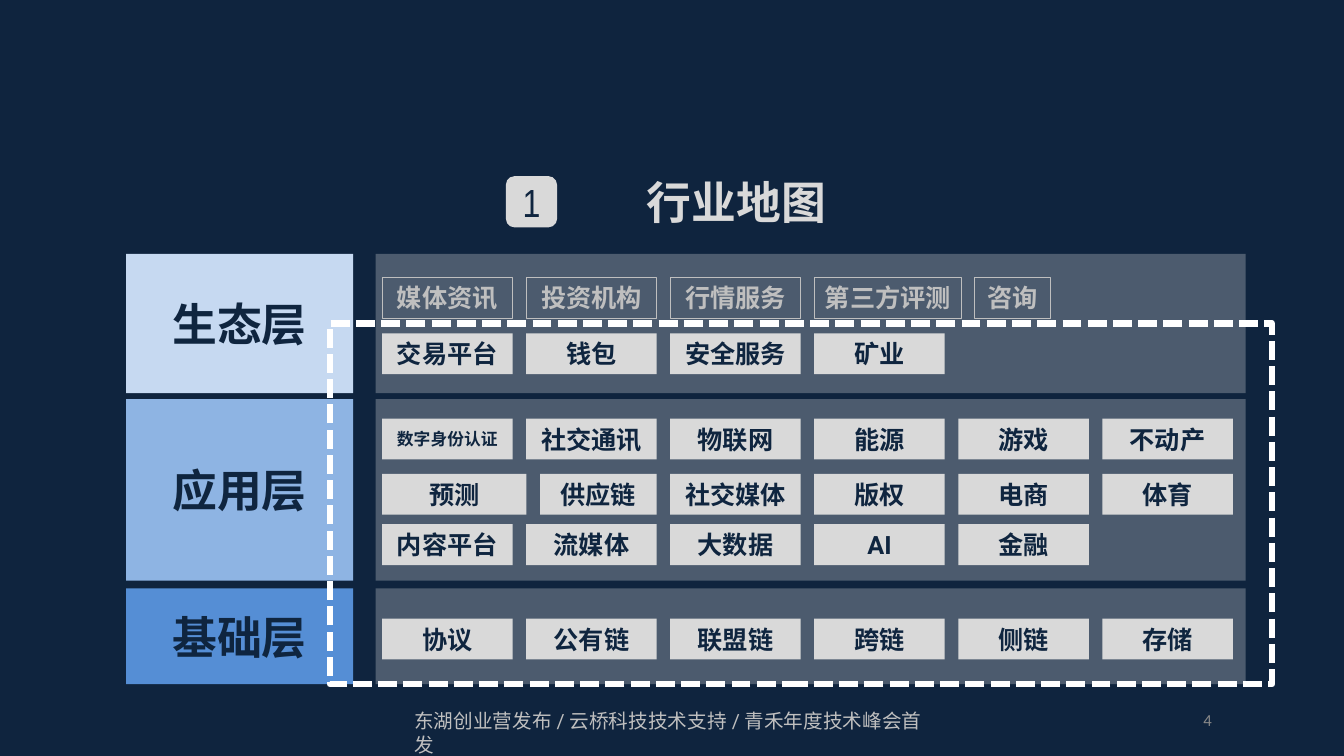
from dataclasses import dataclass

from lxml import etree
from pptx import Presentation
from pptx.dml.color import RGBColor
from pptx.enum.dml import MSO_LINE
from pptx.enum.shapes import MSO_SHAPE
from pptx.enum.text import MSO_ANCHOR, MSO_AUTO_SIZE, PP_ALIGN
from pptx.oxml.ns import qn
from pptx.util import Cm, Pt


@dataclass(frozen=True)
class Theme:
    background: str = "0F243E"
    ink: str = "0F253F"
    light: str = "D9D9D9"
    muted: str = "BFBFBF"
    page: str = "888888"
    panel: str = "F2F2F2"
    frame: str = "FFFFFF"
    font: str = "Roboto"
    badge_font: str = "Arial Narrow"
    page_font: str = "Calibri"
    heading_size: int = 32
    badge_size: int = 28
    chip_size: int = 18
    footer_size: int = 14
    small_size: int = 12


THEME = Theme()
CHIP_LEFT, CHIP_WIDTH, CHIP_HEIGHT, CHIP_GAP = 9.63, 3.29, 1.03, 0.34

LAYERS = [
    ("生态层", "C6D9F1", 6.4, 3.51),
    ("应用层", "8EB4E3", 10.06, 4.57),
    ("基础层", "558ED5", 14.83, 2.41),
]
OUTLINED_ROW = (6.99, "媒体资讯 投资机构 行情服务 第三方评测 咨询")
FILLED_ROWS = [
    (8.4, "交易平台 钱包 安全服务 矿业"),
    (10.55, "数字身份认证 社交通讯 物联网 能源 游戏 不动产"),
    (11.94, "预测 供应链 社交媒体 版权 电商 体育"),
    (13.21, "内容平台 流媒体 大数据 AI 金融"),
    (15.59, "协议 公有链 联盟链 跨链 侧链 存储"),
]
SPECIAL_WIDTHS = {"第三方评测": 3.71, "咨询": 1.91, "预测": 3.64, "供应链": 2.94}
SPECIAL_SIZES = {"数字身份认证": THEME.small_size}


def rgb(value):
    return RGBColor.from_string(value)


def place(shape, left, top, width, height):
    shape.left, shape.top = Cm(left), Cm(top)
    shape.width, shape.height = Cm(width), Cm(height)


def write(shape, text, size, color, font=THEME.font, bold=False,
          align=PP_ALIGN.LEFT, anchor=MSO_ANCHOR.TOP, wrap=True, side_inset=0.25):
    frame = shape.text_frame
    frame.auto_size = MSO_AUTO_SIZE.NONE
    frame.word_wrap = wrap
    frame.vertical_anchor = anchor
    frame.margin_left = frame.margin_right = Cm(side_inset)
    paragraph = frame.paragraphs[0]
    paragraph.alignment = align
    run = paragraph.add_run()
    run.text = text
    run.font.size, run.font.bold = Pt(size), bold
    run.font.color.rgb = rgb(color)
    run.font.name = font
    east_asian = etree.SubElement(run.font._element, qn("a:ea"))
    east_asian.set("typeface", font)
    return paragraph


def add_box(slide, left, top, width, height, fill=None, line=None,
            line_width=0.75, kind=MSO_SHAPE.RECTANGLE):
    box = slide.shapes.add_shape(kind, Cm(left), Cm(top), Cm(width), Cm(height))
    box.shadow.inherit = False
    if fill:
        box.fill.solid()
        box.fill.fore_color.rgb = rgb(fill)
    else:
        box.fill.background()
    if line:
        box.line.color.rgb = rgb(line)
        box.line.width = Pt(line_width)
    else:
        box.line.fill.background()
    return box


def write_centred(box, text, size, color, font=THEME.font, bold=True):
    write(box, text, size, color, font, bold, PP_ALIGN.CENTER,
          MSO_ANCHOR.MIDDLE, side_inset=0)


def set_opacity(shape, percent):
    color = shape.fill._xPr.find(qn("a:solidFill"))[0]
    etree.SubElement(color, qn("a:alpha")).set("val", str(percent * 1000))


def add_heading(slide):
    badge = add_box(slide, 12.75, 4.44, 1.29, 1.29, fill=THEME.light,
                    kind=MSO_SHAPE.ROUNDED_RECTANGLE)
    write_centred(badge, "1", THEME.badge_size, THEME.ink, THEME.badge_font, False)
    title = slide.shapes.title
    place(title, 16.05, 4.27, 5.08, 1.62)
    write(title, "行业地图", THEME.heading_size, THEME.light, bold=True, wrap=False)


def add_layer(slide, name, color, top, height):
    label = add_box(slide, 3.18, top, 5.72, height, fill=color)
    write_centred(label, name, THEME.heading_size, THEME.ink)
    panel = add_box(slide, 9.47, top, 21.92, height, fill=THEME.panel)
    set_opacity(panel, 27)


def add_chip_row(slide, top, names, color, fill=None, line=None):
    left = CHIP_LEFT
    for name in names.split():
        width = SPECIAL_WIDTHS.get(name, CHIP_WIDTH)
        chip = add_box(slide, left, top, width, CHIP_HEIGHT, fill, line)
        write_centred(chip, name, SPECIAL_SIZES.get(name, THEME.chip_size), color)
        left += width + CHIP_GAP


def add_dashed_frame(slide):
    frame = add_box(slide, 8.31, 8.15, 23.75, 9.09, line=THEME.frame, line_width=4.5)
    frame.line.dash_style = MSO_LINE.SQUARE_DOT


def add_text(slide, left, top, width, height):
    return slide.shapes.add_textbox(Cm(left), Cm(top), Cm(width), Cm(height))


def add_footer(slide):
    page = add_text(slide, 30.05, 17.96, 1.3, 0.43)
    page.text_frame.margin_top = page.text_frame.margin_bottom = 0
    paragraph = write(page, "4", THEME.small_size, THEME.page, THEME.page_font,
                      side_inset=0.28)
    paragraph.line_spacing = Pt(12.4)
    credit = add_text(slide, 10.19, 17.75, 13.49, 0.86)
    write(credit, "东湖创业营发布 / 云桥科技技术支持 / 青禾年度技术峰会首发",
          THEME.footer_size, THEME.muted)


def main():
    deck = Presentation()
    deck.slide_width, deck.slide_height = Cm(33.87), Cm(19.05)
    slide = deck.slides.add_slide(deck.slide_layouts[5])
    slide.background.fill.solid()
    slide.background.fill.fore_color.rgb = rgb(THEME.background)
    add_heading(slide)
    for layer in LAYERS:
        add_layer(slide, *layer)
    add_chip_row(slide, *OUTLINED_ROW, THEME.muted, line=THEME.muted)
    add_dashed_frame(slide)
    for row in FILLED_ROWS:
        add_chip_row(slide, *row, THEME.ink, fill=THEME.light)
    add_footer(slide)
    deck.save("out.pptx")


main()
